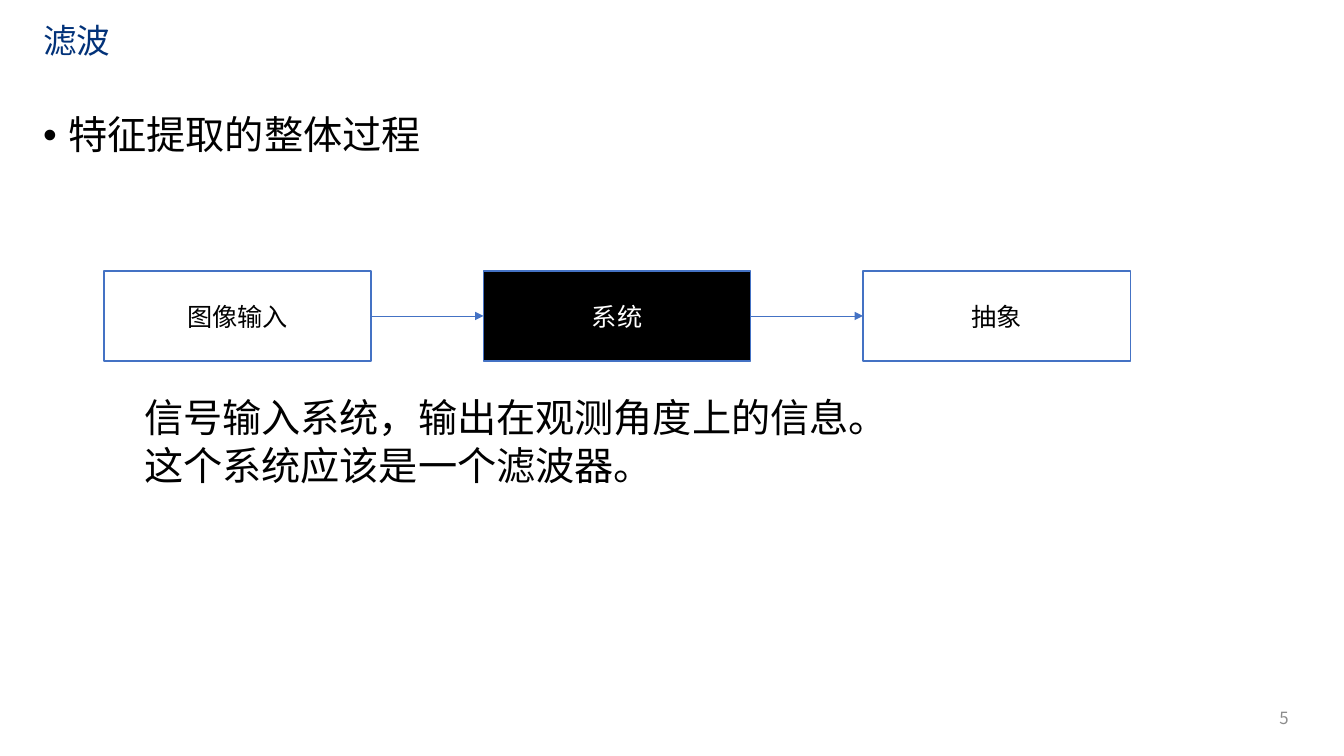
import pptx
import pptx.util
import pptx.dml.color
import pptx.enum.shapes
import pptx.enum.text
import pptx.oxml
import pptx.oxml.ns
from pptx.util import Inches, Pt

RGBColor = pptx.dml.color.RGBColor
NAVY = RGBColor(0x02, 0x32, 0x79)
BLUE = RGBColor(0x44, 0x72, 0xC4)
GRAY = RGBColor(0x8C, 0x8C, 0x8C)
BLACK = RGBColor(0, 0, 0)
WHITE = RGBColor(0xFF, 0xFF, 0xFF)
FONT = "Noto Sans CJK SC"
ALIGN = pptx.enum.text.PP_ALIGN
ANCHOR = pptx.enum.text.MSO_ANCHOR

# Flow diagram grid
FLOW_LEFT, FLOW_TOP = 1.03, 2.69
STEP_WIDTH, STEP_HEIGHT, STEP_PITCH = 2.65, 0.89, 3.765


def add_child(parent, tag, **attributes):
    child = pptx.oxml.parse_xml(f"<a:{tag} {pptx.oxml.ns.nsdecls('a')}/>")
    for name, value in attributes.items():
        child.set(name, value)
    parent.append(child)


def add_span(para, text, size, color):
    span = para.add_run()
    span.text = text
    span.font.size = Pt(size)
    span.font.name = FONT
    span.font.color.rgb = color
    add_child(span._r.get_or_add_rPr(), "ea", typeface=FONT)


def add_text(page, place, lines, size, color, anchor=ANCHOR.TOP,
             align=ALIGN.LEFT, spacing=0.9, bullet=False):
    box = page.shapes.add_textbox(*map(Inches, place))
    frame = box.text_frame
    frame.word_wrap = True
    frame.vertical_anchor = anchor
    for index, line in enumerate(lines):
        para = frame.paragraphs[0] if index == 0 else frame.add_paragraph()
        para.alignment = align
        para.line_spacing = spacing
        if index:
            para.space_before = Pt(4)
        if bullet:
            properties = para._p.get_or_add_pPr()
            properties.set("marL", str(Inches(0.25)))
            properties.set("indent", str(Inches(-0.25)))
            add_child(properties, "buFont", typeface="Arial")
            add_child(properties, "buChar", char="•")
        add_span(para, line, size, color)


def add_step(page, left, label, fill, color):
    step = page.shapes.add_shape(
        pptx.enum.shapes.MSO_SHAPE.RECTANGLE, Inches(left), Inches(FLOW_TOP),
        Inches(STEP_WIDTH), Inches(STEP_HEIGHT))
    step.shadow.inherit = False
    step.fill.solid()
    step.fill.fore_color.rgb = fill
    step.line.color.rgb = BLUE
    step.line.width = Pt(1)
    step.text_frame.vertical_anchor = ANCHOR.MIDDLE
    para = step.text_frame.paragraphs[0]
    para.alignment = ALIGN.CENTER
    add_span(para, label, 18, color)


def add_arrow(page, start, end):
    middle = Inches(FLOW_TOP + STEP_HEIGHT / 2)
    arrow = page.shapes.add_connector(
        pptx.enum.shapes.MSO_CONNECTOR.STRAIGHT,
        Inches(start), middle, Inches(end), middle)
    arrow.line.color.rgb = BLUE
    arrow.line.width = Pt(0.5)
    add_child(arrow.line._get_or_add_ln(), "tailEnd", type="triangle")
    add_child(arrow._element.spPr, "effectLst")


def main():
    deck = pptx.Presentation()
    deck.slide_width, deck.slide_height = Inches(13.33), Inches(7.5)
    page = deck.slides.add_slide(deck.slide_layouts[6])

    # Title, topic and page number
    add_text(page, (0.33, 0.18, 10.93, 0.48), ["滤波"], 24, NAVY, ANCHOR.MIDDLE)
    add_text(page, (0.33, 1.1, 12.55, 0.7), ["特征提取的整体过程"], 28, BLACK,
             bullet=True)
    add_text(page, (9.88, 6.92, 3, 0.4), ["5"], 12, GRAY, ANCHOR.MIDDLE,
             ALIGN.RIGHT, spacing=1)

    # Flow from input to abstraction
    steps = [("图像输入", WHITE, BLACK), ("系统", BLACK, WHITE),
             ("抽象", WHITE, BLACK)]
    for index, (label, fill, color) in enumerate(steps):
        left = FLOW_LEFT + index * STEP_PITCH
        add_step(page, left, label, fill, color)
        if index:
            add_arrow(page, left - STEP_PITCH + STEP_WIDTH, left)

    # Explanation below the flow
    add_text(page, (1.33, 3.91, 11.55, 1.3),
             ["信号输入系统，输出在观测角度上的信息。", "这个系统应该是一个滤波器。"],
             28, BLACK)

    deck.save("out.pptx")


if __name__ == "__main__":
    main()
